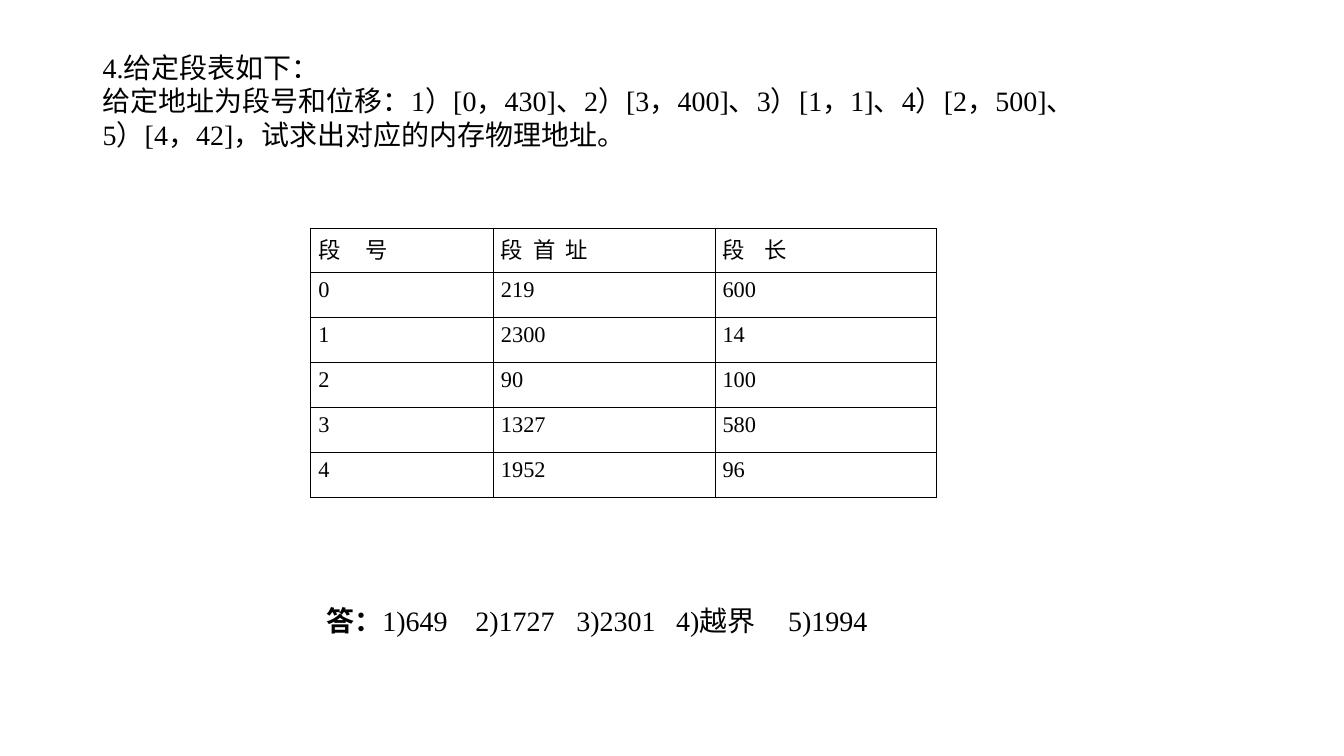
import dataclasses
import typing

import lxml.etree
import pptx
import pptx.dml.color
import pptx.enum.text
import pptx.oxml
import pptx.oxml.ns
import pptx.util

Pt = pptx.util.Pt
Align = pptx.enum.text.PP_ALIGN
Anchor = pptx.enum.text.MSO_ANCHOR
FONT = "Times New Roman"
BLACK = "000000"


@dataclasses.dataclass(frozen=True)
class SegmentColumn:
    heading: str
    heading_tabs: tuple[float, ...]
    width: float
    values: tuple[str, ...]


SEGMENT_COLUMNS = (
    SegmentColumn("段\t号", (33.6,), 130.5, ("0", "1", "2", "3", "4")),
    SegmentColumn("段\t首\t址", (23, 46), 158.4, ("219", "2300", "90", "1327", "1952")),
    SegmentColumn("段\t长", (30,), 158.4, ("600", "14", "100", "580", "96")),
)
QUESTION = (
    "4.给定段表如下：",
    "给定地址为段号和位移：1）[0，430]、2）[3，400]、3）[1，1]、4）[2，500]、",
    "5）[4，42]，试求出对应的内存物理地址。",
)
ANSWERS = ("1)649", "2)1727", "3)2301", "4)越界", "5)1994")
ANSWER_TABS = (106.5, 178.7, 250, 330)
ROW_HEIGHT = 32.1


def rgb(hex_color: str) -> pptx.dml.color.RGBColor:
    return pptx.dml.color.RGBColor.from_string(hex_color)


def write(paragraph: typing.Any, text: str, *, size: float = 20, bold: bool = False,
          align: Align = Align.LEFT, tabs: tuple[float, ...] = ()) -> None:
    paragraph.alignment = align
    if tabs:
        properties = paragraph._p.get_or_add_pPr()
        tab_list = lxml.etree.SubElement(properties, pptx.oxml.ns.qn("a:tabLst"))
        for position in tabs:
            lxml.etree.SubElement(tab_list, pptx.oxml.ns.qn("a:tab"),
                                  pos=str(int(Pt(position))), algn="l")
    run = paragraph.add_run()
    run.text = text
    run.font.name = FONT
    run.font.size = Pt(size)
    run.font.bold = bold
    run.font.color.rgb = rgb(BLACK)


def outline(cell: typing.Any, hex_color: str, width: float) -> None:
    properties = cell._tc.get_or_add_tcPr()
    for index, side in enumerate(("lnL", "lnR", "lnT", "lnB")):
        border = pptx.oxml.parse_xml(
            f'<a:{side} {pptx.oxml.ns.nsdecls("a")} w="{int(Pt(width))}">'
            f'<a:solidFill><a:srgbClr val="{hex_color}"/></a:solidFill></a:{side}>')
        properties.insert(index, border)


def add_question(slide: typing.Any) -> None:
    question = slide.shapes.title
    question.left, question.top = Pt(66.2), Pt(32.4)
    question.width, question.height = Pt(870), Pt(79.2)
    frame = question.text_frame
    frame.word_wrap = True
    frame.auto_size = pptx.enum.text.MSO_AUTO_SIZE.NONE
    frame.vertical_anchor = Anchor.MIDDLE
    for index, line in enumerate(QUESTION):
        write(frame.add_paragraph() if index else frame.paragraphs[0], line)


def add_segment_table(slide: typing.Any) -> None:
    row_count = 1 + len(SEGMENT_COLUMNS[0].values)
    width = sum(column.width for column in SEGMENT_COLUMNS)
    segments = slide.shapes.add_table(
        row_count, len(SEGMENT_COLUMNS), Pt(222), Pt(162.7),
        Pt(width), Pt(ROW_HEIGHT * row_count)).table
    segments.horz_banding = False
    for row in segments.rows:
        row.height = Pt(ROW_HEIGHT)
    for column_index, column in enumerate(SEGMENT_COLUMNS):
        segments.columns[column_index].width = Pt(column.width)
        for row_index, text in enumerate((column.heading, *column.values)):
            cell = segments.cell(row_index, column_index)
            cell.margin_left = cell.margin_right = Pt(5.5)
            cell.margin_top = cell.margin_bottom = Pt(3.6)
            cell.fill.background()
            outline(cell, BLACK, 0.45)
            write(cell.text_frame.paragraphs[0], text, size=16, align=Align.JUSTIFY,
                  tabs=() if row_index else column.heading_tabs)


def add_answer(slide: typing.Any) -> None:
    frame = slide.shapes.add_textbox(Pt(226.1), Pt(427.7), Pt(491), Pt(31.7)).text_frame
    frame.word_wrap = True
    answer = frame.paragraphs[0]
    write(answer, "答：", bold=True, tabs=ANSWER_TABS)
    write(answer, "\t".join(ANSWERS))


def main() -> None:
    presentation = pptx.Presentation()
    presentation.slide_width, presentation.slide_height = Pt(960.5), Pt(540)
    slide = presentation.slides.add_slide(presentation.slide_layouts[5])
    add_question(slide)
    add_segment_table(slide)
    add_answer(slide)
    presentation.save("out.pptx")


if __name__ == "__main__":
    main()
